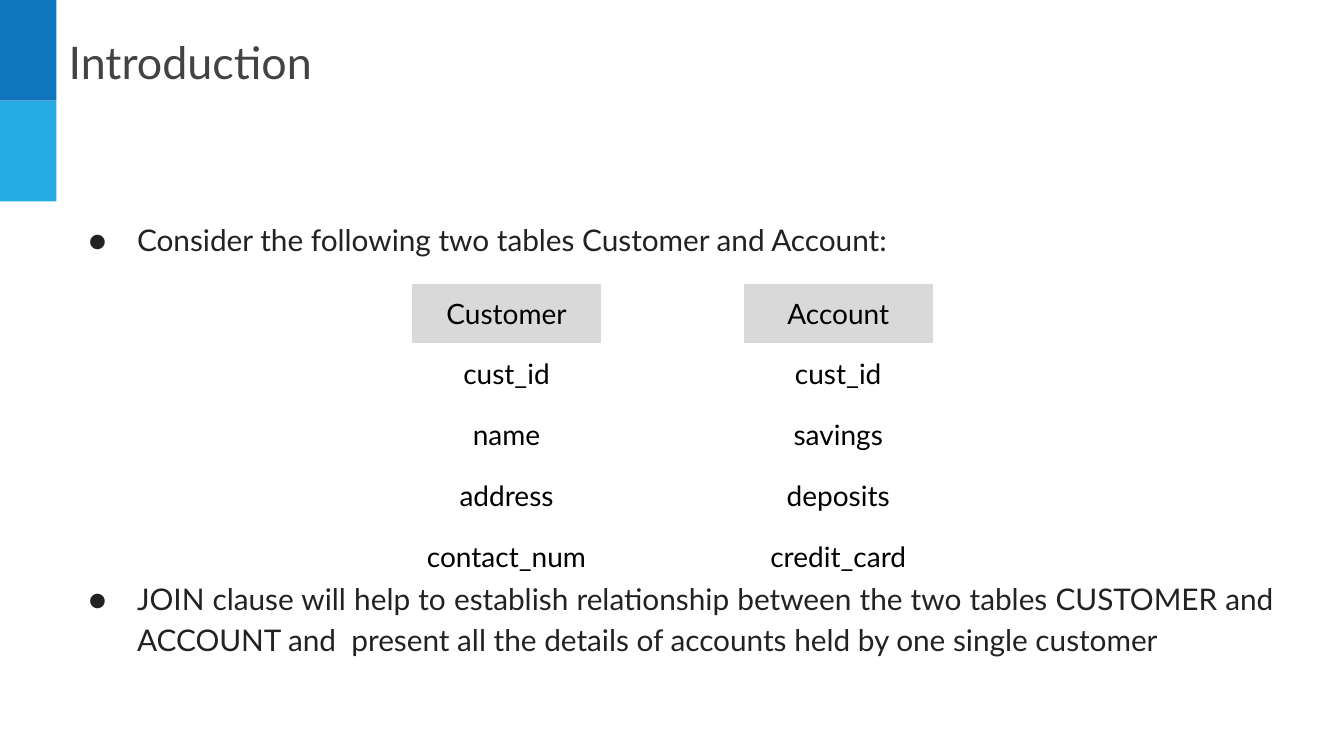
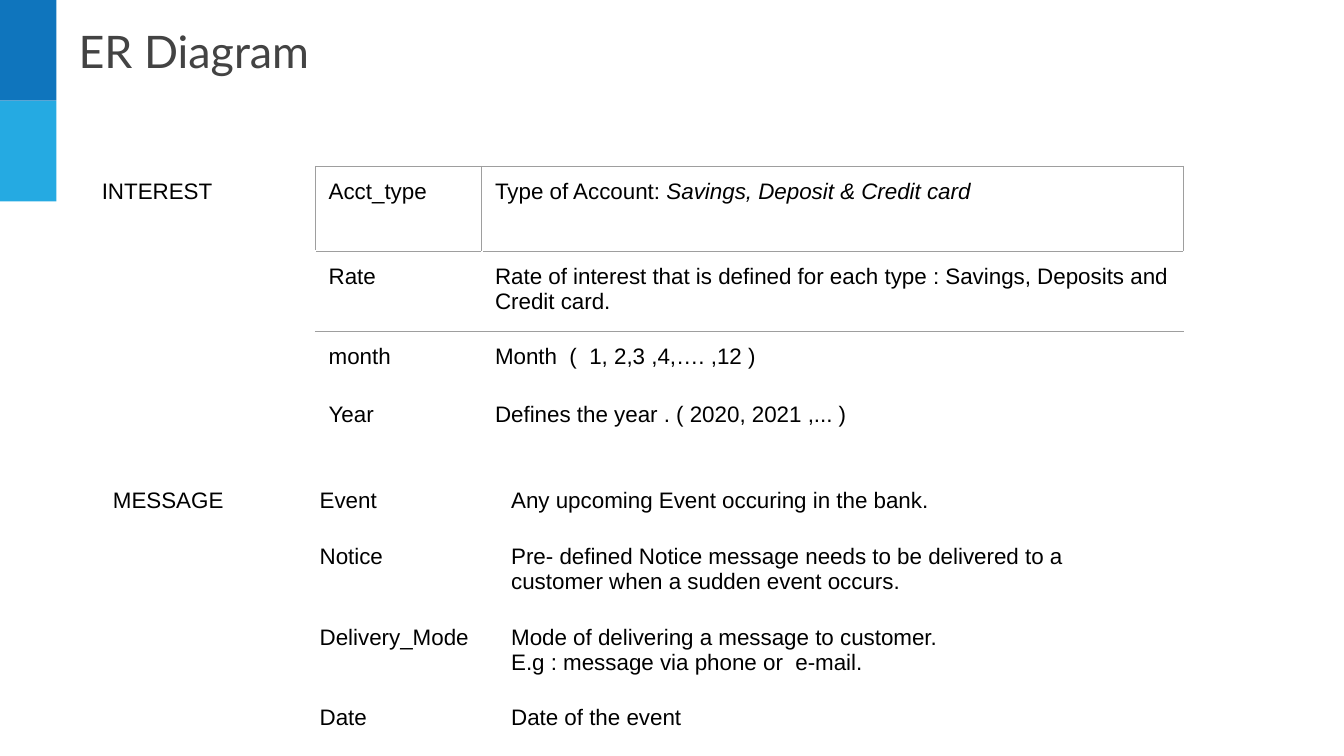
from dataclasses import dataclass
from typing import Any

import lxml.etree
import pptx
import pptx.dml.color
import pptx.enum.shapes
import pptx.enum.text
import pptx.oxml.ns
import pptx.slide
import pptx.table
import pptx.text.text
import pptx.util

RGBColor = pptx.dml.color.RGBColor
ALIGN = pptx.enum.text.PP_ALIGN
qn = pptx.oxml.ns.qn

# Shared look
DEEP_BLUE = RGBColor(0x0F, 0x75, 0xBD)
SKY_BLUE = RGBColor(0x25, 0xAA, 0xE2)
TITLE_GREY = RGBColor(0x43, 0x43, 0x43)
BODY_GREY = RGBColor(0x22, 0x22, 0x22)
HEADER_GREY = RGBColor(0xD9, 0xD9, 0xD9)
RULE_GREY = RGBColor(0x9E, 0x9E, 0x9E)
BLACK = RGBColor(0, 0, 0)

SLIDE_WIDTH = pptx.util.Inches(13.33)
SLIDE_HEIGHT = pptx.util.Inches(7.5)
INSET = pptx.util.Inches(0.13)
INSETS = {f"margin_{side}": INSET for side in ("left", "right", "top", "bottom")}

TITLE_FONT = {"name": "Lato", "size": pptx.util.Pt(32)}
BODY_FONT = {"name": "Lato", "size": pptx.util.Pt(21.3)}
ENTITY_FONT = {"name": "Lato", "size": pptx.util.Pt(20), "bold": False}
DETAIL_FONT = {"name": "Arial", "size": pptx.util.Pt(16), "bold": False}

BAND_WIDTH, BAND_HEIGHT = 4.2, 13.33


@dataclass(frozen=True)
class Area:
    """A rectangle in percent of the slide's width and height."""

    left: float
    top: float
    width: float
    height: float

    def emu(self) -> tuple[int, int, int, int]:
        return across(self.left), down(self.top), across(self.width), down(self.height)


@dataclass(frozen=True)
class Cell:
    text: str = ""
    italic_tail: str = ""
    borders: str = ""  # any of the letters L, R, T, B
    fill: RGBColor | None = None


@dataclass(frozen=True)
class Grid:
    """A table; columns and rows are percent of the slide's size."""

    left: float
    top: float
    columns: tuple[float, ...]
    rows: tuple[float, ...]
    cells: tuple[tuple[Cell, ...], ...]
    font: dict[str, Any]
    align: Any = ALIGN.LEFT


def across(percent: float) -> int:
    return round(SLIDE_WIDTH * percent / 100)


def down(percent: float) -> int:
    return round(SLIDE_HEIGHT * percent / 100)


def apply_format(target: Any, values: dict[str, Any]) -> None:
    for attribute, value in values.items():
        setattr(target, attribute, value)


def add_run(paragraph: Any, text: str, font: dict[str, Any], color: RGBColor) -> None:
    run = paragraph.add_run()
    run.text = text
    apply_format(run.font, font)
    run.font.color.rgb = color


def add_text(
    slide: pptx.slide.Slide, area: Area, text: str, font: dict[str, Any], color: RGBColor
) -> Any:
    frame = slide.shapes.add_textbox(*area.emu()).text_frame
    apply_format(frame, INSETS | {"word_wrap": True})
    add_run(frame.paragraphs[0], text, font, color)
    return frame.paragraphs[0]


def add_bullet(slide: pptx.slide.Slide, area: Area, text: str, space_before: float = 0) -> None:
    paragraph = add_text(slide, area, text, BODY_FONT, BODY_GREY)
    apply_format(paragraph, {
        "alignment": ALIGN.JUSTIFY,
        "line_spacing": 1.15,
        "space_before": pptx.util.Pt(space_before),
    })
    properties = paragraph._p.get_or_add_pPr()
    properties.set("marL", str(pptx.util.Inches(0.67)))
    properties.set("indent", str(pptx.util.Inches(-0.48)))
    bullet_color = lxml.etree.SubElement(properties, qn("a:buClr"))
    lxml.etree.SubElement(bullet_color, qn("a:srgbClr"), val=str(BODY_GREY))
    lxml.etree.SubElement(properties, qn("a:buFont"), typeface="Lato")
    lxml.etree.SubElement(properties, qn("a:buChar"), char="●")


def add_borders(cell: Any, sides: str) -> None:
    properties = cell._tc.get_or_add_tcPr()
    for side in "LRTB":
        if side in sides:
            line = lxml.etree.SubElement(
                properties, qn(f"a:ln{side}"), w=str(pptx.util.Pt(0.75))
            )
            fill = lxml.etree.SubElement(line, qn("a:solidFill"))
            lxml.etree.SubElement(fill, qn("a:srgbClr"), val=str(RULE_GREY))


def fill_cell(target: Any, cell: Cell, grid: Grid) -> None:
    apply_format(target, INSETS)
    add_borders(target, cell.borders)
    if cell.fill is None:
        target.fill.background()
    else:
        target.fill.solid()
        target.fill.fore_color.rgb = cell.fill
    if not cell.text:
        return
    for index, line in enumerate(cell.text.split("\n")):
        frame = target.text_frame
        paragraph = frame.add_paragraph() if index else frame.paragraphs[0]
        paragraph.alignment = grid.align
        add_run(paragraph, line, grid.font, BLACK)
    if cell.italic_tail:
        add_run(paragraph, cell.italic_tail, grid.font | {"italic": True}, BLACK)


def add_grid(slide: pptx.slide.Slide, grid: Grid) -> None:
    area = Area(grid.left, grid.top, sum(grid.columns), sum(grid.rows))
    table = slide.shapes.add_table(len(grid.rows), len(grid.columns), *area.emu()).table
    apply_format(table, {"first_row": False, "horz_banding": False})
    for column, width in zip(table.columns, grid.columns):
        column.width = across(width)
    for row, height, cells in zip(table.rows, grid.rows, grid.cells):
        row.height = down(height)
        for target, cell in zip(row.cells, cells):
            fill_cell(target, cell, grid)


def entity_grid(left: float, name: str, *fields: str) -> Grid:
    """A one-column table with a grey heading."""
    cells = ((Cell(name, fill=HEADER_GREY),), *((Cell(field),) for field in fields))
    return Grid(left, 37.47, (14.18,), (8.04,) * len(cells), cells, ENTITY_FONT, ALIGN.CENTER)


def start_slide(
    deck: Any, title: str, title_left: float, title_top: float
) -> pptx.slide.Slide:
    """A blank slide with its title and the two side bands."""
    slide = deck.slides.add_slide(deck.slide_layouts[6])
    add_text(slide, Area(title_left, title_top, 81.45, 10.27), title, TITLE_FONT, TITLE_GREY)
    for index, color in enumerate((DEEP_BLUE, SKY_BLUE)):
        area = Area(0, index * BAND_HEIGHT, BAND_WIDTH, BAND_HEIGHT)
        band = slide.shapes.add_shape(
            pptx.enum.shapes.MSO_SHAPE.RECTANGLE, *area.emu()
        )
        band.shadow.inherit = False
        band.fill.solid()
        band.fill.fore_color.rgb = color
        band.line.fill.background()
    return slide


def build_introduction(deck: Any) -> None:
    slide = start_slide(deck, "Introduction", 4.13, 2.8)
    add_grid(slide, entity_grid(30.6, "Customer", "cust_id", "name", "address", "contact_num"))
    add_grid(slide, entity_grid(55.28, "Account", "cust_id", "savings", "deposits", "credit_card"))
    add_bullet(
        slide,
        Area(BAND_WIDTH, 26.93, 91.58, 9.07),
        "Consider the following two tables Customer and Account:",
    )
    add_bullet(
        slide,
        Area(BAND_WIDTH, 74.4, 91.58, 17.73),
        "JOIN clause will help to establish relationship between the two tables CUSTOMER "
        "and ACCOUNT and  present all the details of accounts held by one single customer",
        space_before=21.3,
    )


def build_er_diagram(deck: Any) -> None:
    slide = start_slide(deck, "ER Diagram", 4.88, 1.47)
    interest = (
        (
            Cell("INTEREST", borders="R"),
            Cell("Acct_type", borders="LRTB"),
            Cell("Type of Account: ", "Savings, Deposit & Credit card", "LRTB"),
        ),
        (
            Cell(),
            Cell("Rate", borders="TB"),
            Cell(
                "Rate of interest that is defined for each type : "
                "Savings, Deposits and Credit card.",
                borders="TB",
            ),
        ),
        (Cell(), Cell("month", borders="T"), Cell("Month  (  1, 2,3 ,4,…. ,12 )", borders="T")),
        (Cell(), Cell("Year"), Cell("Defines the year . ( 2020, 2021 ,... )")),
    )
    message = (
        (Cell("MESSAGE"), Cell("Event"), Cell("Any upcoming Event occuring in the bank.")),
        (
            Cell(),
            Cell("Notice"),
            Cell(
                "Pre- defined Notice message needs to be delivered to a "
                "customer when a sudden event occurs."
            ),
        ),
        (
            Cell(),
            Cell("Delivery_Mode"),
            Cell(
                "Mode of delivering a message to customer.\n"
                "E.g : message via phone or  e-mail."
            ),
        ),
        (Cell(), Cell("Date"), Cell("Date of the event")),
    )
    add_grid(slide, Grid(
        6.6, 22, (16.88, 12.38, 52.2), (11.2, 10.67, 7.6, 7.6), interest, DETAIL_FONT
    ))
    add_grid(slide, Grid(
        7.43, 62.8, (15.38, 14.25, 49.5), (7.47, 10.67, 10.67, 7.47), message, DETAIL_FONT
    ))


def main() -> None:
    deck = pptx.Presentation()
    apply_format(deck, {"slide_width": SLIDE_WIDTH, "slide_height": SLIDE_HEIGHT})
    build_introduction(deck)
    build_er_diagram(deck)
    deck.save("out.pptx")


if __name__ == "__main__":
    main()
